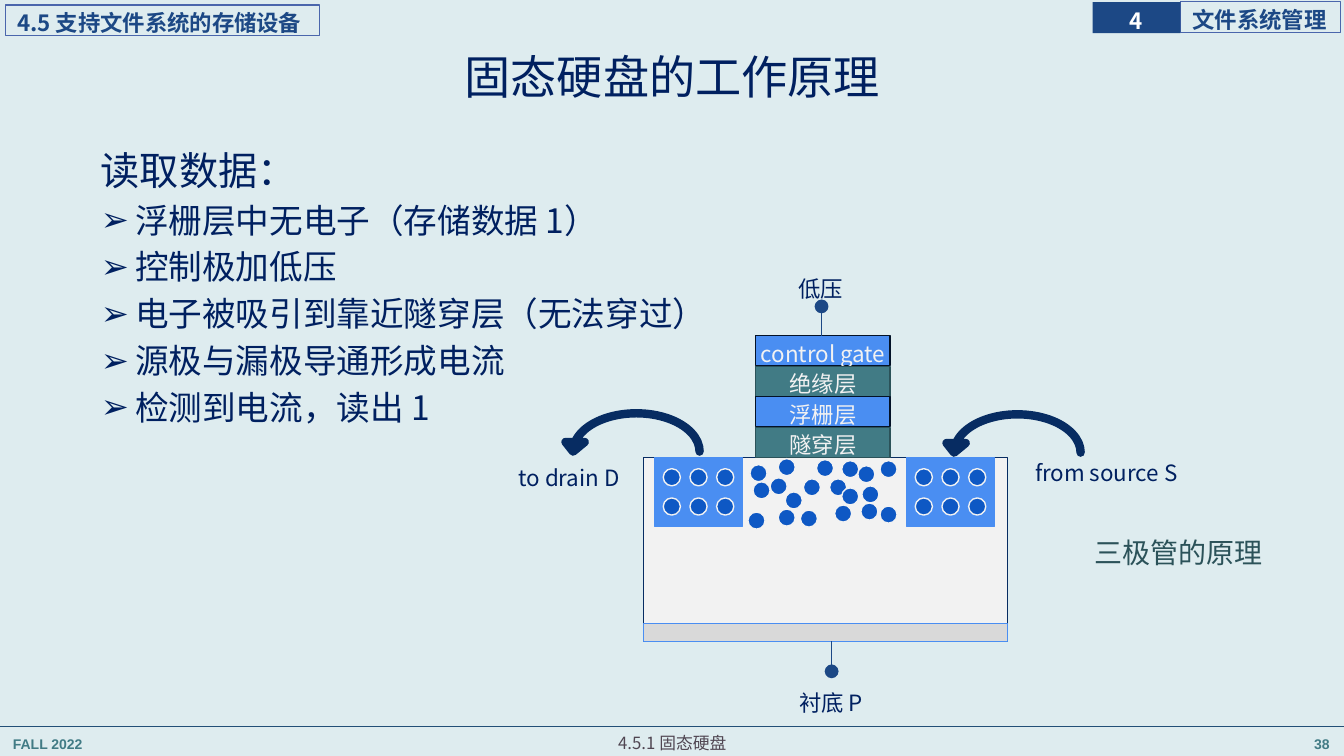
from typing import NamedTuple, Optional

import pptx
import pptx.dml.color
import pptx.enum.shapes
import pptx.enum.text
import pptx.oxml.ns
import pptx.util
from lxml import etree

# The slide is laid on a grid of square cells, a tenth of an inch wide
CELL = pptx.util.Inches(0.1)
COLS, ROWS = 133.33, 75
CJK = "Noto Sans CJK SC"
NAVY, BLUE, DARK, TEAL, PINE = "002060", "1C4885", "072C62", "417B85", "2B5259"
SKY, PALE = "4A8EF2", "F2F2F2"
SHAPE = pptx.enum.shapes.MSO_SHAPE
ALIGN = pptx.enum.text.PP_ALIGN
ANCHOR = pptx.enum.text.MSO_ANCHOR


class Box(NamedTuple):
    col: float
    row: float
    cols: float
    rows: float


class Style(NamedTuple):
    size: float
    color: str
    bold: bool = False
    align: ALIGN = ALIGN.CENTER
    font: str = CJK


class Label(NamedTuple):
    text: str
    box: Box
    style: Style


class Panel(NamedTuple):
    box: Box
    fill: Optional[str] = None
    line: Optional[str] = None
    text: str = ""
    style: Optional[Style] = None
    inset: float = 0


class Layer(NamedTuple):
    text: str
    fill: str
    line: str


def grid(n: float) -> int:
    return round(n * CELL)


def rgb(value: str) -> pptx.dml.color.RGBColor:
    return pptx.dml.color.RGBColor.from_string(value)


def add_xml(parent, tag: str, **attributes: str) -> None:
    etree.SubElement(parent, pptx.oxml.ns.qn(tag), **attributes)


def place(sp, box: Box) -> None:
    sp.left, sp.top, sp.width, sp.height = map(grid, box)


def set_insets(tf, left: float, top: float, right: float, bottom: float) -> None:
    tf.margin_left, tf.margin_top = grid(left), grid(top)
    tf.margin_right, tf.margin_bottom = grid(right), grid(bottom)


def format_paragraph(p, style: Style, spacing: float = 1.2) -> None:
    p.alignment = style.align
    p.line_spacing = spacing
    for r in p.runs:
        r.font.size = pptx.util.Pt(style.size)
        r.font.bold = style.bold
        r.font.color.rgb = rgb(style.color)
        r.font.name = style.font
        add_xml(r.font._element, "a:ea", typeface=style.font)


def add_label(slide, label: Label) -> None:
    tf = slide.shapes.add_textbox(*map(grid, label.box)).text_frame
    tf.word_wrap = True
    tf.text = label.text
    format_paragraph(tf.paragraphs[0], label.style)


def add_preset(slide, kind: SHAPE, box: Box, fill: Optional[str],
               line: Optional[str], width: float = 0.75):
    sp = slide.shapes.add_shape(kind, *map(grid, box))
    sp.shadow.inherit = False
    for part, color in ((sp.fill, fill), (sp.line.fill, line)):
        if color:
            part.solid()
            part.fore_color.rgb = rgb(color)
        else:
            part.background()
    if line:
        sp.line.width = pptx.util.Pt(width)
    return sp


def add_panel(slide, panel: Panel) -> None:
    sp = add_preset(slide, SHAPE.RECTANGLE, panel.box, panel.fill, panel.line)
    if panel.style:
        tf = sp.text_frame
        tf.word_wrap = True
        tf.vertical_anchor = ANCHOR.MIDDLE
        set_insets(tf, panel.inset, 0, 0, 0)
        tf.text = panel.text
        format_paragraph(tf.paragraphs[0], panel.style)


def add_electron(slide, col: float, row: float) -> None:
    add_preset(slide, SHAPE.OVAL, Box(col, row, 1.7, 1.7), "0E58C4", PALE, 1)


def add_doped_region(slide, col: float, row: float) -> None:
    add_panel(slide, Panel(Box(col, row, 8.8, 6.8), SKY, SKY))
    for i in range(6):
        add_electron(slide, col + 0.9 + i % 3 * 2.65, row + 1.1 + i // 3 * 2.9)


def add_line(slide, start: tuple[float, float], end: tuple[float, float],
             color: str, width: float, terminal: bool = False) -> None:
    line = slide.shapes.add_connector(pptx.enum.shapes.MSO_CONNECTOR.STRAIGHT,
                                      *map(grid, (*start, *end)))
    line.line.color.rgb = rgb(color)
    line.line.width = pptx.util.Pt(width)
    if terminal:
        add_xml(line.line._get_or_add_ln(), "a:tailEnd", type="oval", w="lg", len="lg")
    add_xml(line._element.spPr, "a:effectLst")


def add_current_arrow(slide, box: Box) -> None:
    sp = add_preset(slide, SHAPE.CURVED_UP_ARROW, box, None, DARK, 6)
    sp.rotation = 180
    for i, value in enumerate((0, 0.5, 0.25)):
        sp.adjustments[i] = value


def fill_placeholders(slide, title: str, heading: str, steps: list[str]) -> None:
    place(slide.shapes.title, Box(9.2, 4, 115, 7.7))
    body = slide.placeholders[1]
    place(body, Box(9.2, 14.6, 115, 56.4))
    for sp, anchor in ((slide.shapes.title, ANCHOR.MIDDLE), (body, ANCHOR.TOP)):
        tf = sp.text_frame
        tf.word_wrap = True
        tf.auto_size = pptx.enum.text.MSO_AUTO_SIZE.NONE
        tf.vertical_anchor = anchor
        set_insets(tf, 0.8, 0.4, 0.8, 0.4)
    slide.shapes.title.text_frame.text = title
    format_paragraph(slide.shapes.title.text_frame.paragraphs[0], Style(33, NAVY), 0.9)

    tf = body.text_frame
    tf.text = "\n".join([heading, *steps])
    for i, p in enumerate(tf.paragraphs):
        pPr = p._p.get_or_add_pPr()
        indent = grid(3.4) if i else 0
        pPr.set("marL", str(indent))
        pPr.set("indent", str(-indent))
        if i:
            add_xml(pPr, "a:buChar", char="➢")
        else:
            add_xml(pPr, "a:buNone")
        p.space_before = pptx.util.Pt(7.5 if i else 0)
        format_paragraph(p, Style(24 if i else 28, NAVY, align=ALIGN.LEFT), 0.9)


HEADER = Style(16, BLUE, True, ALIGN.LEFT)
FOOTER = Style(10, TEAL, True, ALIGN.LEFT, "Arial")
CAPTION = Style(16, NAVY)

HEADERS = [
    Panel(Box(117.1, 0.2, 15.9, 3), None, "4A66AC", "文件系统管理", HEADER, 1.2),
    Panel(Box(108.4, 0.2, 8.7, 3.1), BLUE, None, "4", Style(16, "FFFFFF", True)),
    Panel(Box(0.5, 0.5, 31.2, 3), None, "4A66AC", "4.5 支持文件系统的存储设备", HEADER, 1.2),
]
LABELS = [
    Label("FALL 2022", Box(0.3, 72.1, 27.8, 3.1), FOOTER),
    Label("38", Box(105.1, 72.1, 27.8, 3.1), FOOTER._replace(align=ALIGN.RIGHT)),
    Label("4.5.1 固态硬盘", Box(16.7, 71.8, 100, 3.2), Style(12, "504652")),
    Label("低压", Box(73.3, 26.3, 16.3, 4), CAPTION),
    Label("to drain D", Box(47.7, 45, 17.5, 4), CAPTION),
    Label("from source S", Box(101, 44.5, 17.5, 4), CAPTION),
    Label("衬底 P", Box(76.5, 67.3, 11.9, 4), CAPTION),
    Label("三极管的原理", Box(103.4, 52, 27, 4.7), Style(20, PINE)),
]
GATE_STACK = [Layer("control gate", SKY, "031227"), Layer("绝缘层", TEAL, PINE),
              Layer("浮栅层", SKY, "031227"), Layer("隧穿层", TEAL, PINE)]
FREE_ELECTRONS = [
    (79.4, 50.6), (85.5, 48.2), (85.1, 46.2), (82.3, 47.5), (87.3, 45.7), (74.2, 50.8),
    (79.7, 47.5), (77.9, 48.8), (76.4, 47.4), (74.7, 47.8), (74.4, 46.1), (82.8, 50.1),
    (85.4, 49.9), (83.5, 48.4), (81, 45.6), (77.2, 50.5), (83.5, 45.7), (77.2, 45.5),
    (87.3, 50.2)]


def main() -> None:
    prs = pptx.Presentation()
    prs.slide_width, prs.slide_height = grid(COLS), grid(ROWS)
    slide = prs.slides.add_slide(prs.slide_layouts[1])
    slide.background.fill.solid()
    slide.background.fill.fore_color.rgb = rgb("DEECEF")

    # Header, footer rule, title and list
    for header in HEADERS:
        add_panel(slide, header)
    add_line(slide, (0, 72.1), (COLS, 72.1), "234F77", 0.5)
    fill_placeholders(slide, "固态硬盘的工作原理", "读取数据：", [
        "浮栅层中无电子（存储数据 1）", "控制极加低压", "电子被吸引到靠近隧穿层（无法穿过）",
        "源极与漏极导通形成电流", "检测到电流，读出 1"])

    # Substrate with drain and source
    add_panel(slide, Panel(Box(63.8, 45.4, 36.2, 18.2), PALE, DARK))
    add_panel(slide, Panel(Box(63.8, 61.9, 36.2, 1.7), "D9D9D9", SKY))
    for col in (64.9, 89.9):
        add_doped_region(slide, col, 45.4)

    # Gate stack and its terminals
    for i, layer in enumerate(GATE_STACK):
        add_panel(slide, Panel(Box(75, 33.3 + i * 3.03, 13.3, 3), layer.fill, layer.line,
                               layer.text, Style(16, PALE)))
    add_line(slide, (81.5, 33.3), (81.5, 30.4), BLUE, 1.25, terminal=True)
    add_line(slide, (82.5, 63.6), (82.5, 66.6), BLUE, 1.25, terminal=True)

    # Electrons, current and captions
    for col, row in FREE_ELECTRONS:
        add_electron(slide, col, row)
    for box in (Box(93.7, 41.1, 13.5, 3.8), Box(55.9, 41, 13.5, 3.8)):
        add_current_arrow(slide, box)
    for label in LABELS:
        add_label(slide, label)

    prs.save("out.pptx")


if __name__ == "__main__":
    main()
